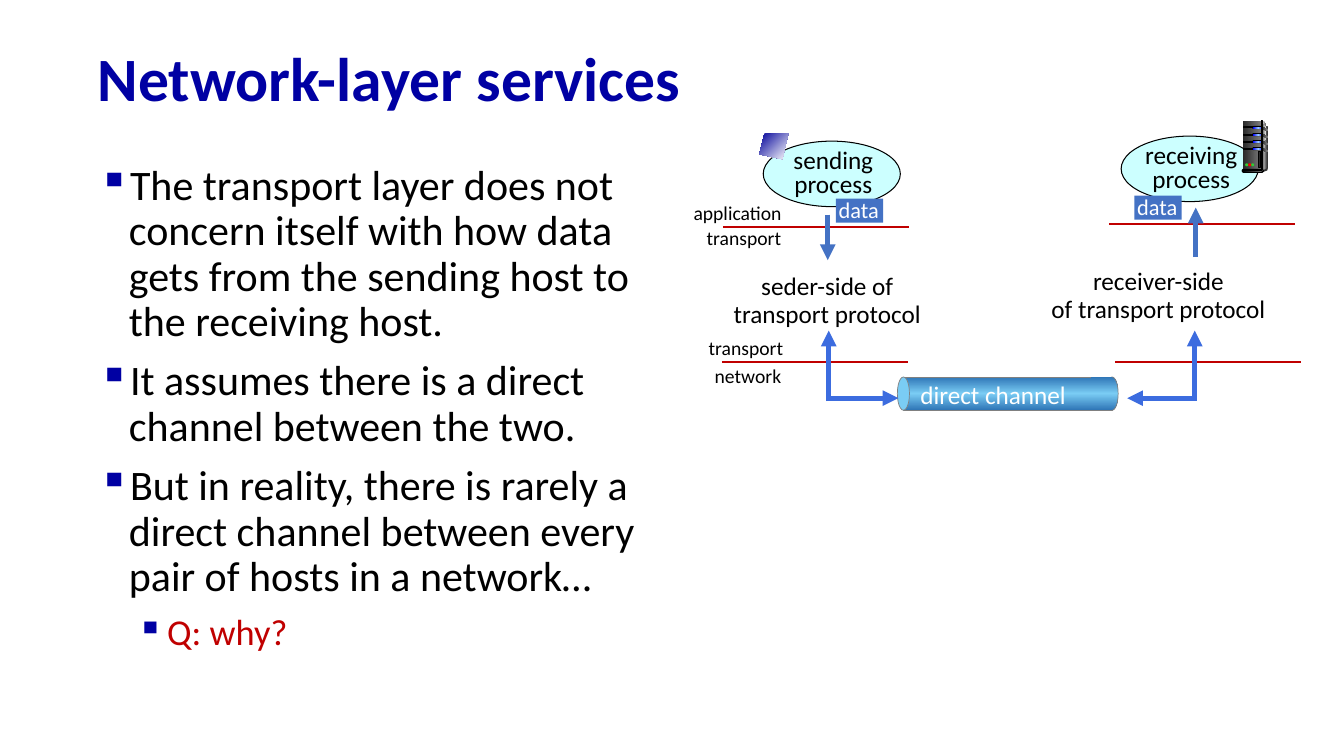
from copy import deepcopy
from lxml import etree
from pptx import Presentation
from pptx import util as u
from pptx.dml.color import RGBColor
from pptx.enum import shapes, text
from pptx.oxml import ns

RECT = shapes.MSO_SHAPE.RECTANGLE
OVAL = shapes.MSO_SHAPE.OVAL
ROUND = shapes.MSO_SHAPE.ROUNDED_RECTANGLE
LEFT, CENTER = text.PP_ALIGN.LEFT, text.PP_ALIGN.CENTER
NAVY, RED, BLUE, ARROW_BLUE = "0000A3", "C00000", "4472C4", "3C6CDF"
BLACK, WHITE = "000000", "FFFFFF"
STEEL = ["292929", "808080"]
PIPE = ["2E75B6", "7ACCF4", "2E75B6"]
LAMP = ["0000FF", "99CCFF", "0000FF"]


def paint(shape, colours, angle=0, outline=None, weight=0.75):
    shape.shadow.inherit = False
    if len(colours) == 1:
        shape.fill.solid()
        shape.fill.fore_color.rgb = RGBColor.from_string(colours[0])
    else:
        shape.fill.gradient()
        shape.fill.gradient_angle = angle
        if len(colours) == 3:
            first_stop = shape._element.spPr.find(".//" + ns.qn("a:gs"))
            first_stop.addnext(deepcopy(first_stop))
        for index, stop in enumerate(shape.fill.gradient_stops):
            stop.position = index / (len(colours) - 1)
            stop.color.rgb = RGBColor.from_string(colours[index])
    if outline:
        shape.line.color.rgb = RGBColor.from_string(outline)
        shape.line.width = u.Pt(weight)
    else:
        shape.line.fill.background()


def add_label(box, wording, size, colour=BLACK, align=LEFT, spacing=1.0):
    label = slide.shapes.add_textbox(*map(u.Inches, box))
    label.text_frame.word_wrap = align == CENTER
    label.text_frame.text = wording
    for paragraph in label.text_frame.paragraphs:
        paragraph.alignment = align
        paragraph.line_spacing = spacing
        paragraph.font.name = "Calibri"
        paragraph.font.size = u.Pt(size)
        paragraph.font.color.rgb = RGBColor.from_string(colour)
    return label


presentation = Presentation()
presentation.slide_width = u.Inches(13.33)
presentation.slide_height = u.Inches(7.5)
slide = presentation.slides.add_slide(presentation.slide_layouts[6])

title = add_label((0.87, 0.32, 12.14, 0.98), "Network-layer services", 44, NAVY, spacing=0.9)
title.text_frame.word_wrap = True
title.text_frame.vertical_anchor = text.MSO_ANCHOR.MIDDLE
title.text_frame.paragraphs[0].font.bold = True

for name, left, top, data_left, data_top in [
    ("sending", 7.57, 1.4, 8.29, 1.97),
    ("receiving", 11.12, 1.35, 11.25, 1.94),
]:
    process = slide.shapes.add_shape(OVAL, *map(u.Inches, (left, top, 1.36, 0.65)))
    paint(process, ["CCFFFF"], outline=BLACK)
    add_label((left + 0.09, top + 0.04, 1.21, 0.59), f"{name} process", 18, align=CENTER, spacing=0.8)
    data = slide.shapes.add_shape(RECT, *map(u.Inches, (data_left, data_top, 0.47, 0.24)))
    paint(data, [BLUE])
    add_label((data_left - 0.07, data_top - 0.07, 0.63, 0.37), "data", 16, WHITE)

outlines = [
    ([(7.82, 1.32), (7.58, 1.33), (7.53, 1.53), (7.76, 1.58)], ["000099", WHITE], 315),
    ([(12.53, 1.2), (12.57, 1.26), (12.57, 1.67), (12.52, 1.69)], ["DDDDDD", "333333"], 0),
    ([(12.53, 1.23), (12.56, 1.27), (12.54, 1.45), (12.53, 1.68)], ["808080", "F8F8F8"], 0),
    ([(12.52, 1.69), (12.52, 1.71), (12.57, 1.69), (12.57, 1.67)], ["333333"], 0),
]
for row in range(4):
    y = 1.26 + 0.07 * row
    vent = [(12.52, y), (12.57, y + 0.02), (12.57, y + 0.04), (12.52, y + 0.02)]
    outlines.append((vent, STEEL, 0))
for points, colours, angle in outlines:
    corners = [(u.Inches(x), u.Inches(y)) for x, y in points]
    builder = slide.shapes.build_freeform(*corners[0])
    builder.add_line_segments(corners[1:], close=True)
    paint(builder.convert_to_shape(), colours, angle)

server_parts = [(RECT, (12.33, 1.2, 0.19, 0.49), STEEL, None)]
for row in range(4):
    y = 1.25 + 0.07 * row
    server_parts += [
        (RECT, (12.33, y + 0.01, 0.11, 0.01), [BLACK], BLACK),
        (ROUND, (12.42, y, 0.1, 0.03), [BLACK], None),
        (ROUND, (12.43, y + 0.01, 0.1, 0.02), LAMP, None),
    ]
server_parts += [
    (RECT, (12.51, 1.2, 0.01, 0.49), ["333333", "DDDDDD", "333333"], BLACK),
    (OVAL, (12.56, 1.67, 0.01, 0.02), ["333333"], None),
    (ROUND, (12.32, 1.68, 0.21, 0.03), ["DDDDDD"], BLACK),
    (ROUND, (12.33, 1.69, 0.19, 0.02), [BLACK, "808080"], BLACK),
    (RECT, (12.48, 1.5, 0.02, 0.16), ["292929"], BLACK),
]
for index, colour in enumerate(["33CC33", "FF0000", "33CC33"]):
    server_parts.append((OVAL, (12.35 + 0.03 * index, 1.62, 0.03, 0.03), [colour], None))
for kind, box, colours, outline in server_parts:
    part = slide.shapes.add_shape(kind, *map(u.Inches, box))
    if kind == ROUND:
        part.adjustments[0] = 0.5
    paint(part, colours, outline=outline)

for kind, left, width, colours, outline in [
    (RECT, 8.96, 2.07, PIPE, "808080"),
    (OVAL, 8.9, 0.12, ["7ACCF4"], "808080"),
    (OVAL, 10.97, 0.12, PIPE, "808080"),
    (RECT, 10.82, 0.21, PIPE, None),
]:
    part = slide.shapes.add_shape(kind, *map(u.Inches, (left, 3.74, width, 0.33)))
    paint(part, colours, 90, outline, 0.5)

add_label((9.03, 3.71, 1.66, 0.4), "direct channel", 18, WHITE)
for left, top, width, wording in [
    (6.78, 1.94, 1.09, "application"),
    (6.91, 2.19, 0.95, "transport"),
    (6.93, 3.28, 0.95, "transport"),
    (6.99, 3.56, 0.87, "network"),
]:
    add_label((left, top, width, 0.34), wording, 14)
add_label((7.17, 2.67, 2.07, 0.65), "seder-side of transport protocol", 18, align=CENTER, spacing=0.9)
add_label((10.09, 2.62, 2.8, 0.65), "receiver-side\nof transport protocol", 18, align=CENTER, spacing=0.9)

for start, end, colour, weight in [
    ((7.17, 2.25), (9.02, 2.25), RED, 1.75),
    ((11, 2.22), (12.84, 2.22), RED, 1.75),
    ((7.16, 3.59), (9.01, 3.59), RED, 1.75),
    ((11.06, 3.59), (12.9, 3.59), RED, 1.75),
    ((8.21, 2.13), (8.21, 2.58), BLUE, 3.75),
    ((11.86, 2.55), (11.86, 2.06), BLUE, 3.75),
    ((8.22, 3.98), (8.22, 3.28), ARROW_BLUE, 3.75),
    ((8.21, 3.95), (8.91, 3.95), ARROW_BLUE, 3.75),
    ((11.87, 3.95), (11.18, 3.95), ARROW_BLUE, 3.75),
    ((11.85, 3.97), (11.85, 3.28), ARROW_BLUE, 3.75),
]:
    connector = slide.shapes.add_connector(shapes.MSO_CONNECTOR.STRAIGHT, *map(u.Inches, start + end))
    connector.line.color.rgb = RGBColor.from_string(colour)
    connector.line.width = u.Pt(weight)
    properties = connector._element.spPr
    if colour != RED:
        etree.SubElement(properties.find(ns.qn("a:ln")), ns.qn("a:tailEnd"), type="triangle")
    etree.SubElement(properties, ns.qn("a:effectLst"))

body = slide.shapes.add_textbox(*map(u.Inches, (0.74, 1.58, 6.14, 5.78)))
body.text_frame.word_wrap = True
body.text_frame.text = "\n".join([
    "The transport layer does not concern itself with how data gets from the sending host to the receiving host.",
    "It assumes there is a direct channel between the two.",
    "But in reality, there is rarely a direct channel between every pair of hosts in a network…",
    "Q: why?",
])
for index, paragraph in enumerate(body.text_frame.paragraphs):
    level, indent, size, colour = (1, 0.82, 26, RED) if index == 3 else (0, 0.44, 30, BLACK)
    properties = paragraph._p.get_or_add_pPr()
    properties.set("marL", str(u.Inches(indent)))
    properties.set("indent", str(u.Inches(-0.3)))
    bullet_colour = etree.SubElement(properties, ns.qn("a:buClr"))
    etree.SubElement(bullet_colour, ns.qn("a:srgbClr"), val=NAVY)
    etree.SubElement(properties, ns.qn("a:buChar"), char="▪")
    paragraph.level = level
    paragraph.line_spacing = 0.9
    paragraph.space_before = u.Pt(10 if index else 0)
    paragraph.font.name = "Calibri"
    paragraph.font.size = u.Pt(size)
    paragraph.font.color.rgb = RGBColor.from_string(colour)

presentation.save("out.pptx")
